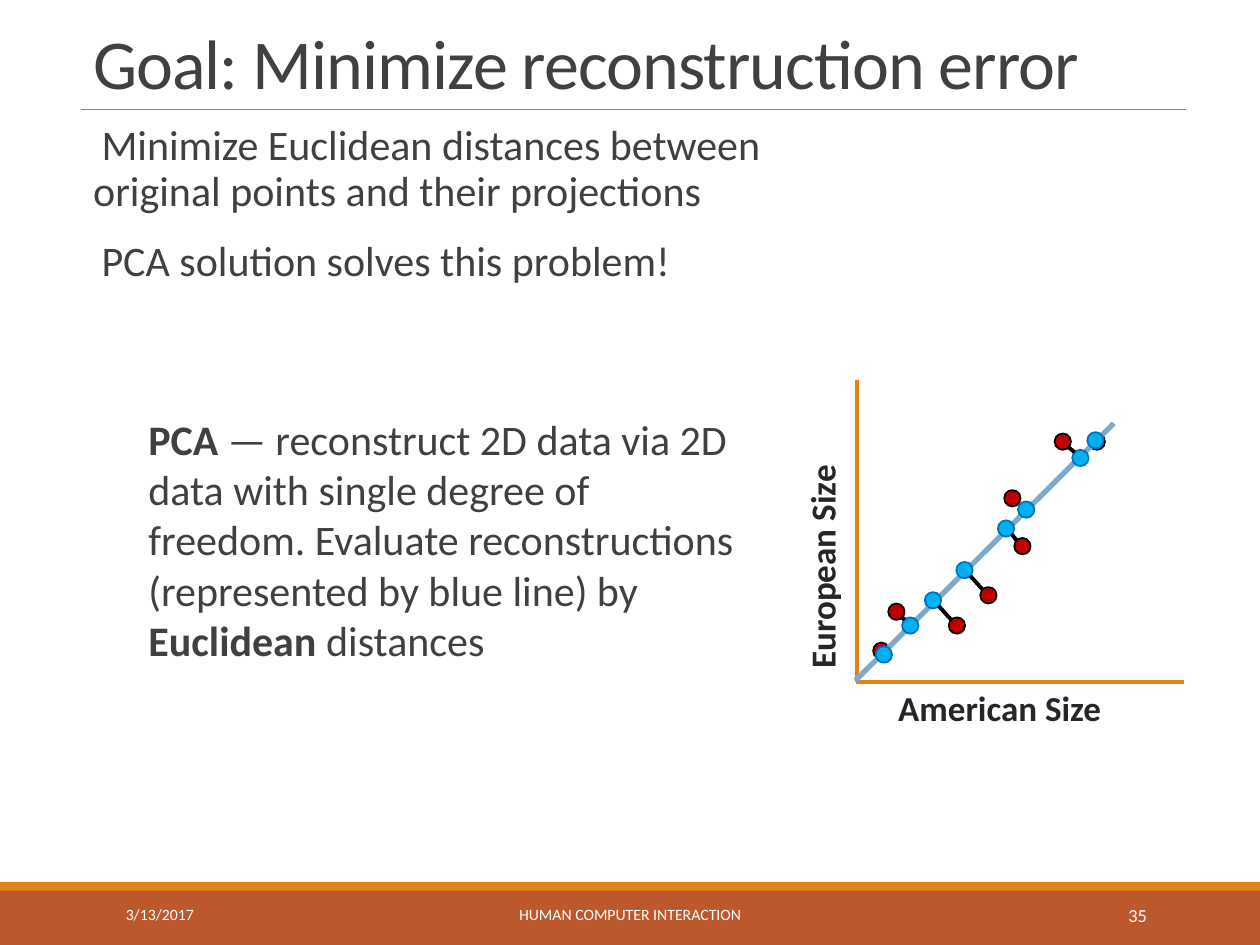
from dataclasses import dataclass
from math import sqrt
from typing import Optional

from lxml.etree import SubElement
from pptx import Presentation
from pptx.dml.color import RGBColor
from pptx.enum.shapes import MSO_CONNECTOR, MSO_SHAPE
from pptx.enum.text import MSO_ANCHOR as Anchor, PP_ALIGN as Align
from pptx.oxml.ns import qn
from pptx.util import Inches, Pt

WHITE = RGBColor(0xFF, 0xFF, 0xFF)
BLACK = RGBColor(0x00, 0x00, 0x00)
GRAY = RGBColor(0x80, 0x80, 0x80)
TEXT = RGBColor(0x40, 0x40, 0x40)
LABEL = RGBColor(0x26, 0x26, 0x26)
ORANGE = RGBColor(0xE4, 0x83, 0x12)
RUST = RGBColor(0xBD, 0x58, 0x2C)
RED = RGBColor(0xC0, 0x00, 0x00)
SKY = RGBColor(0x00, 0xB0, 0xF0)
BLUE = RGBColor(0x00, 0x70, 0xC0)
STEEL = RGBColor(0x7E, 0xA9, 0xCA)

FONT = "Calibri"
COLUMNS, ROWS = 100, 75
DOT = 1.3
NEAR_EDGE = DOT / 2 * (1 - 1 / sqrt(2))
FAR_EDGE = DOT - NEAR_EDGE

Point = tuple[float, float]
Box = tuple[float, float, float, float]
Run = tuple[str, bool]


@dataclass(frozen=True)
class TextBlock:
    box: Box
    paragraphs: list[list[Run]]
    size: float
    color: RGBColor = TEXT
    anchor: Anchor = Anchor.TOP
    align: Align = Align.LEFT
    line_spacing: Optional[float] = None
    rotation: float = 0
    character_spacing: int = 0
    is_list: bool = False


@dataclass(frozen=True)
class Projection:
    original: Point
    projected: Point
    has_residual: bool = True


FOOTER_TOP, FOOTER_HEIGHT = 70.6, 4
TEXT_BLOCKS = [
    TextBlock((6.4, 1.3, 87.7, 7.4), [[("Goal: Minimize reconstruction error", False)]], 40,
              anchor=Anchor.BOTTOM, line_spacing=0.85, character_spacing=-50),
    TextBlock((6.4, 9.4, 56.7, 59.5),
              [[("Minimize Euclidean distances between original points and their projections", False)],
               [("PCA solution solves this problem!", False)]],
              24, line_spacing=0.9, is_list=True),
    TextBlock((9, FOOTER_TOP, 20.3, FOOTER_HEIGHT), [[("3/13/2017", False)]], 9, WHITE, Anchor.MIDDLE),
    TextBlock((30.2, FOOTER_TOP, 39.6, FOOTER_HEIGHT), [[("HUMAN COMPUTER INTERACTION", False)]],
              9, WHITE, Anchor.MIDDLE, Align.CENTER),
    TextBlock((81.2, FOOTER_TOP, 10.8, FOOTER_HEIGHT), [[("35", False)]],
              10.5, WHITE, Anchor.MIDDLE, Align.RIGHT),
    TextBlock((70.3, 54, 21.5, 4.4), [[("American Size", True)]], 20, LABEL),
    TextBlock((54.5, 41.1, 21.5, 4.4), [[("European Size", True)]], 20, LABEL, rotation=270),
    TextBlock((10.8, 32.3, 50, 21.2),
              [[("PCA", True),
                (" — reconstruct 2D data via 2D data with single degree of freedom. "
                 "Evaluate reconstructions (represented by blue line) by ", False),
                ("Euclidean", True), (" distances", False)]], 24),
]

PROJECTIONS = [
    Projection((86.4, 34.4), (86.3, 34.3), False),
    Projection((83.7, 34.4), (85.1, 35.7)),
    Projection((79.7, 38.9), (80.8, 39.8), False),
    Projection((80.5, 42.7), (79.2, 41.3)),
    Projection((77.8, 46.6), (75.9, 44.6)),
    Projection((75.3, 49), (73.4, 47)),
    Projection((70.5, 47.9), (71.6, 49)),
    Projection((69.3, 51), (69.5, 51.3), False),
]

presentation = Presentation()
presentation.slide_width = Inches(10)
presentation.slide_height = Inches(7.5)
slide = presentation.slides.add_slide(presentation.slide_layouts[6])


def across(columns: float) -> int:
    return round(presentation.slide_width * columns / COLUMNS)


def down(rows: float) -> int:
    return round(presentation.slide_height * rows / ROWS)


def place(box: Box) -> tuple[int, int, int, int]:
    left, top, width, height = box
    return across(left), down(top), across(width), down(height)


def add_filled(kind: MSO_SHAPE, box: Box, fill: RGBColor, outline: Optional[RGBColor] = None) -> None:
    shape = slide.shapes.add_shape(kind, *place(box))
    shape.shadow.inherit = False
    shape.fill.solid()
    shape.fill.fore_color.rgb = fill
    if outline is None:
        shape.line.fill.background()
    else:
        shape.line.color.rgb = outline
        shape.line.width = Pt(1)


def add_line(start: Point, end: Point, color: RGBColor, width: float) -> None:
    connector = slide.shapes.add_connector(
        MSO_CONNECTOR.STRAIGHT, across(start[0]), down(start[1]), across(end[0]), down(end[1]))
    connector.line.color.rgb = color
    connector.line.width = Pt(width)
    SubElement(connector._element.spPr, qn("a:effectLst"))


def add_dot(corner: Point, fill: RGBColor, outline: RGBColor) -> None:
    add_filled(MSO_SHAPE.OVAL, (*corner, DOT, DOT), fill, outline)


def add_residual(projection: Projection) -> None:
    upper, lower = sorted((projection.original, projection.projected))
    add_line((upper[0] + FAR_EDGE, upper[1] + FAR_EDGE),
             (lower[0] + NEAR_EDGE, lower[1] + NEAR_EDGE), BLACK, 2.25)


def add_text(block: TextBlock) -> None:
    shape = slide.shapes.add_textbox(*place(block.box))
    shape.rotation = block.rotation
    frame = shape.text_frame
    frame.word_wrap = True
    frame.vertical_anchor = block.anchor
    if block.is_list:
        frame.margin_left = frame.margin_right = 0
    for index, runs in enumerate(block.paragraphs):
        paragraph = frame.add_paragraph() if index else frame.paragraphs[0]
        paragraph.alignment = block.align
        if block.line_spacing:
            paragraph.line_spacing = block.line_spacing
        if block.is_list:
            paragraph.space_before = Pt(12 if index else 0)
            paragraph.space_after = Pt(2)
            properties = paragraph._p.get_or_add_pPr()
            properties.set("marL", str(Inches(0.1)))
            properties.set("indent", str(-Inches(0.1)))
            bullet_color = SubElement(properties, qn("a:buClr"))
            SubElement(bullet_color, qn("a:srgbClr")).set("val", str(ORANGE))
            SubElement(properties, qn("a:buChar")).set("char", " ")
        paragraph.font.name = FONT
        paragraph.font.size = Pt(block.size)
        paragraph.font.color.rgb = block.color
        for text, bold in runs:
            run = paragraph.add_run()
            run.text = text
            run.font.bold = bold
            if block.character_spacing:
                run._r.get_or_add_rPr().set("spc", str(block.character_spacing))


def main() -> None:
    add_filled(MSO_SHAPE.RECTANGLE, (0, 70.6, COLUMNS, 4.4), RUST)
    add_filled(MSO_SHAPE.RECTANGLE, (0, 70, COLUMNS, 0.7), ORANGE)
    add_line((6.4, 8.7), (94.1, 8.7), GRAY, 0.5)
    for block in TEXT_BLOCKS:
        add_text(block)
    add_line((68, 30.2), (68, 54.1), ORANGE, 2.25)
    add_line((67.9, 54.1), (94, 54.1), ORANGE, 2.25)
    for projection in PROJECTIONS:
        add_dot(projection.original, RED, BLACK)
    add_line((88.4, 33.6), (67.9, 54), STEEL, 3)
    for projection in PROJECTIONS:
        add_dot(projection.projected, SKY, BLUE)
    for projection in PROJECTIONS:
        if projection.has_residual:
            add_residual(projection)
    presentation.save("out.pptx")


if __name__ == "__main__":
    main()
